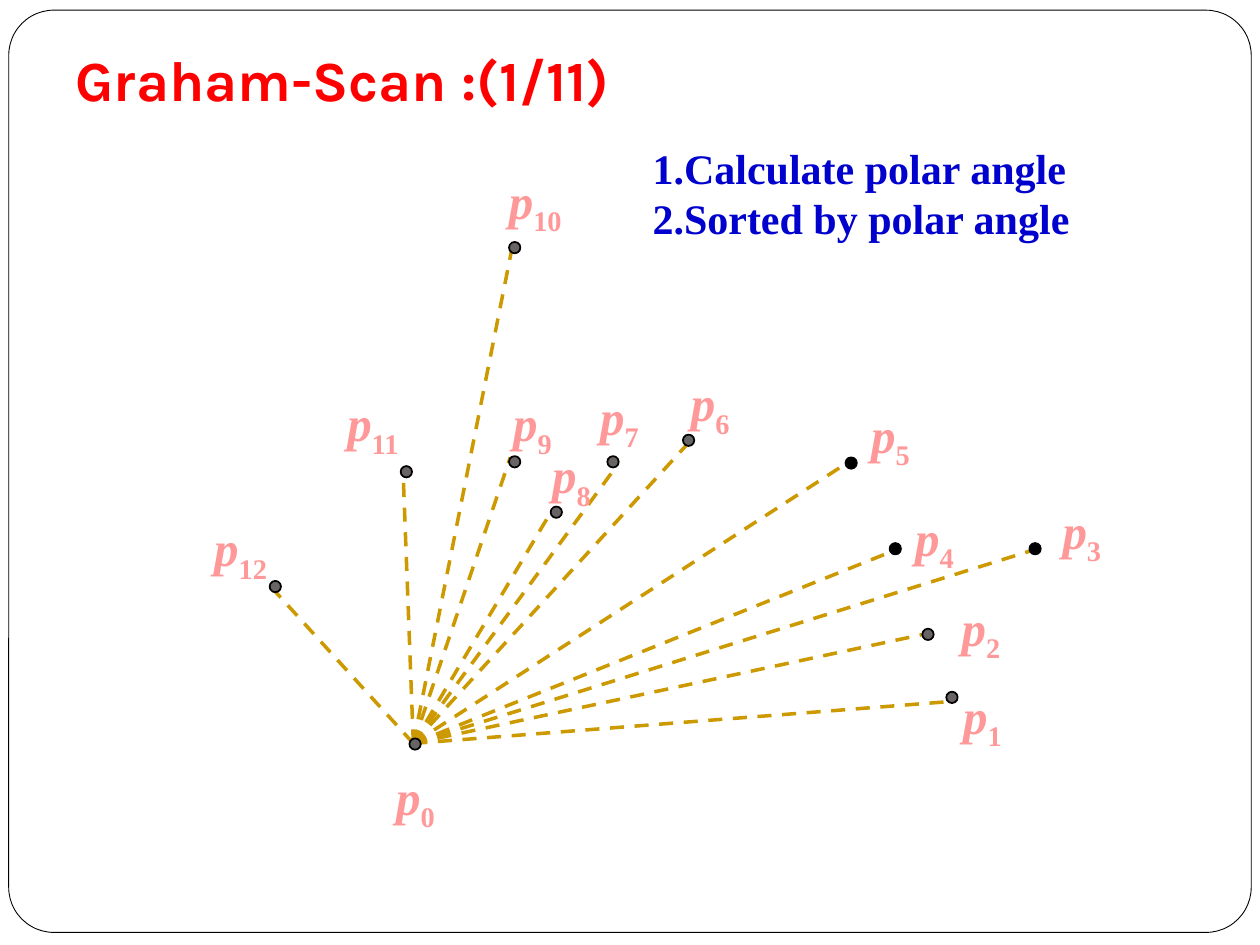
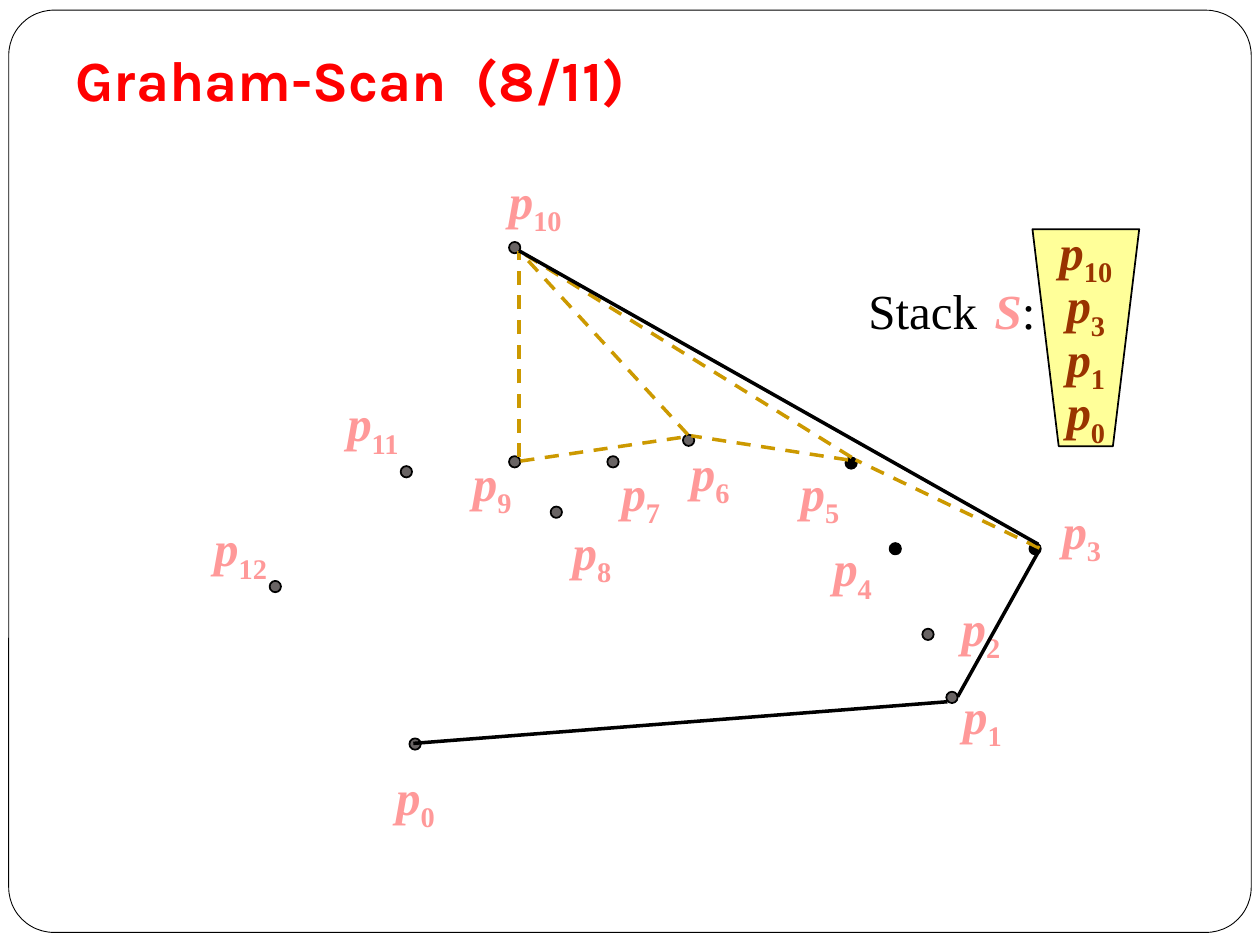
import pptx
import pptx.dml.color
import pptx.enum.dml
import pptx.enum.shapes
import pptx.enum.text
import pptx.oxml
import pptx.oxml.ns
import pptx.util

Pt = pptx.util.Pt
Shape = pptx.enum.shapes.MSO_SHAPE
Align = pptx.enum.text.PP_ALIGN
Anchor = pptx.enum.text.MSO_ANCHOR
AutoSize = pptx.enum.text.MSO_AUTO_SIZE

COLORS = {
    "paper": "FFFFFF", "ink": "000000", "title": "FF0000", "label": "FF9999",
    "dot": "696464", "dashed": "CC9900", "steps": "0101CD",
    "stack": "FFFF99", "stacked": "993300",
}
SERIF = "Times New Roman"
DOT_SIZE = 6.5
PADDING = (7.2, 3.6, 7.2, 3.6)
NO_PADDING = (0, 0, 0, 0)
PADDED_LABELS = {0, 1, 2, 4}
BLACK_DOTS = {3, 4, 5}

POINTS = [
    (237.2, 425.2), (544, 398.5), (530.3, 362.5), (591.5, 313.6), (511.6, 313.6),
    (486.4, 264.6), (393.5, 251.6), (350.3, 263.9), (317.9, 292.7), (294.1, 263.9),
    (294.1, 141.5), (232.2, 269.6), (157.3, 335.2),
]
SORTED_LABELS = [
    (225.4, 437.8), (549.4, 391.7), (548.6, 341.3), (606.2, 285.8), (522, 290.2),
    (496.8, 231.1), (393.8, 213.1), (342, 221), (314.6, 254.2), (292.3, 224.6),
    (289.4, 97.2), (196.6, 224.6), (121, 295.9),
]
MOVED_LABELS = {
    4: (475.2, 307.4), 5: (456.5, 264.2), 6: (393.8, 252.7),
    7: (354.2, 264.2), 8: (326.2, 298.1), 9: (269.3, 258.5),
}
SCAN_LABELS = [MOVED_LABELS.get(i, place) for i, place in enumerate(SORTED_LABELS)]

ORIGIN = (236.2, 424.8)
RAY_ENDS = [
    (541.4, 401), (532.8, 361.4), (594, 313.2), (509, 315.4), (484.6, 264.2),
    (393.8, 252.7), (352.8, 265.7), (314.6, 293), (291.6, 261.4), (292.3, 143.3),
    (230.4, 271.4), (157, 337.7),
]
SCAN_TOP = (296.6, 143.3)
HULL_EDGES = [(ORIGIN, (541.4, 401)), ((547.2, 398.2), (593.3, 315.4))]
REJECTED_EDGES = [
    ((594, 313.2), (488.9, 262.8)), ((484.6, 262.8), (395.3, 249.1)),
    ((297.4, 263.5), (395.3, 249.1)), ((296.6, 261.4), SCAN_TOP),
    ((393.1, 248.4), SCAN_TOP),
]


class Deck:
    """Holds the style and the current slide, and draws each kind of element."""

    def __init__(self):
        self.presentation = pptx.Presentation()
        self.presentation.slide_width = Pt(720)
        self.presentation.slide_height = Pt(540)
        self.slide = None

    def color(self, name):
        return pptx.dml.color.RGBColor.from_string(COLORS[name])

    def start(self, title):
        self.slide = self.presentation.slides.add_slide(self.presentation.slide_layouts[5])
        frame = self.shape(Shape.ROUNDED_RECTANGLE, (5, 5.8, 710, 527), "paper", 0.5)
        frame.adjustments[0] = 0.049
        self.slide.shapes.element.insert(2, frame.element)
        placeholder = self.slide.shapes.title
        placeholder.left, placeholder.top = Pt(36), Pt(30.2)
        placeholder.width, placeholder.height = Pt(648), Pt(41.8)
        text_frame = placeholder.text_frame
        self.fit(text_frame, (7.2, 3.6, 7.2, 7.2), Anchor.BOTTOM, True, AutoSize.NONE)
        paragraph = text_frame.paragraphs[0]
        paragraph.alignment = Align.LEFT
        self.add_text(paragraph, title, size=32.4, font="Karla", color="title", bold=True)

    def fit(self, text_frame, padding, anchor, wrap, auto_size):
        text_frame.margin_left, text_frame.margin_top = Pt(padding[0]), Pt(padding[1])
        text_frame.margin_right, text_frame.margin_bottom = Pt(padding[2]), Pt(padding[3])
        text_frame.vertical_anchor = anchor
        text_frame.word_wrap = wrap
        text_frame.auto_size = auto_size

    def add_text(self, paragraph, text, size=28, font=SERIF, color="ink",
                 bold=False, italic=False, subscript=False):
        run = paragraph.add_run()
        run.text = text
        run.font.size = Pt(size)
        run.font.name = font
        run.font.color.rgb = self.color(color)
        run.font.bold = bold
        run.font.italic = italic
        if subscript:
            run._r.get_or_add_rPr().set("baseline", "-25000")

    def add_point_name(self, paragraph, index, color):
        paragraph.alignment = Align.CENTER
        self.add_text(paragraph, "p", color=color, bold=True, italic=True)
        self.add_text(paragraph, str(index), color=color, bold=True, subscript=True)

    def paint(self, shape, fill, width):
        shape.shadow.inherit = False
        shape.fill.solid()
        shape.fill.fore_color.rgb = self.color(fill)
        shape.line.color.rgb = self.color("ink")
        shape.line.width = Pt(width)

    def shape(self, kind, box, fill, width=1):
        shape = self.slide.shapes.add_shape(kind, *map(Pt, box))
        self.paint(shape, fill, width)
        return shape

    def text_box(self, box, padding=PADDING, wrap=False):
        text_frame = self.slide.shapes.add_textbox(*map(Pt, box)).text_frame
        self.fit(text_frame, padding, Anchor.TOP, wrap, AutoSize.SHAPE_TO_FIT_TEXT)
        return text_frame

    def label(self, index, left, top):
        padding = PADDING if index in PADDED_LABELS else NO_PADDING
        width = 24 if index < 10 else 33
        box = (left - padding[0], top - padding[1],
               width + 2 * padding[0], 33.8 + 2 * padding[1])
        self.add_point_name(self.text_box(box, padding).paragraphs[0], index, "label")

    def line(self, start, end, dashed=False):
        connector = self.slide.shapes.add_connector(
            pptx.enum.shapes.MSO_CONNECTOR.STRAIGHT, *map(Pt, start + end))
        connector.line.width = Pt(2)
        connector.line.color.rgb = self.color("dashed" if dashed else "ink")
        if dashed:
            connector.line.dash_style = pptx.enum.dml.MSO_LINE.DASH
        effects = pptx.oxml.parse_xml(
            "<a:effectLst %s/>" % pptx.oxml.ns.nsdecls("a"))
        connector.element.spPr.append(effects)

    def points(self, labels):
        for index, (x, y) in enumerate(POINTS):
            box = (x - DOT_SIZE / 2, y - DOT_SIZE / 2, DOT_SIZE, DOT_SIZE)
            self.shape(Shape.OVAL, box, "ink" if index in BLACK_DOTS else "dot")
        for index, (left, top) in enumerate(labels):
            self.label(index, left, top)

    def stack(self, indices):
        builder = self.slide.shapes.build_freeform(589.7, 131, scale=Pt(1))
        builder.add_line_segments([(604.9, 254.9), (636, 254.9), (651.4, 131)])
        bucket = builder.convert_to_shape()
        self.paint(bucket, "stack", 1)
        text_frame = bucket.text_frame
        self.fit(text_frame, (7.2, 0, 7.2, 3.6), Anchor.MIDDLE, False, AutoSize.NONE)
        for row, index in enumerate(indices):
            paragraph = text_frame.add_paragraph() if row else text_frame.paragraphs[0]
            paragraph.line_spacing = 0.8
            self.add_point_name(paragraph, index, "stacked")


def build_sorting_slide(deck):
    deck.start("Graham-Scan :(1/11)")
    for end in RAY_ENDS:
        deck.line(ORIGIN, end, dashed=True)
    deck.points(SORTED_LABELS)
    text_frame = deck.text_box((365.8, 77.8, 329.8, 65.5), wrap=True)
    steps = ["1.Calculate polar angle", "2.Sorted by polar angle"]
    for row, step in enumerate(steps):
        paragraph = text_frame.add_paragraph() if row else text_frame.paragraphs[0]
        deck.add_text(paragraph, step, size=24, color="steps", bold=True)


def build_scan_slide(deck):
    deck.start("Graham-Scan  (8/11)")
    deck.points(SCAN_LABELS)
    for start, end in HULL_EDGES:
        deck.line(start, end)
    for start, end in REJECTED_EDGES:
        deck.line(start, end, dashed=True)
    deck.stack([10, 3, 1, 0])
    deck.line((486.7, 261.4), SCAN_TOP, dashed=True)
    deck.line((593.3, 311), SCAN_TOP)
    caption = deck.text_box((488.9, 157, 110.2, 41)).paragraphs[0]
    caption.alignment = Align.CENTER
    deck.add_text(caption, "Stack ")
    deck.add_text(caption, " ", size=12)
    deck.add_text(caption, "S", color="label", bold=True, italic=True)
    deck.add_text(caption, ":")


def main():
    deck = Deck()
    build_sorting_slide(deck)
    build_scan_slide(deck)
    deck.presentation.save("out.pptx")


if __name__ == "__main__":
    main()
